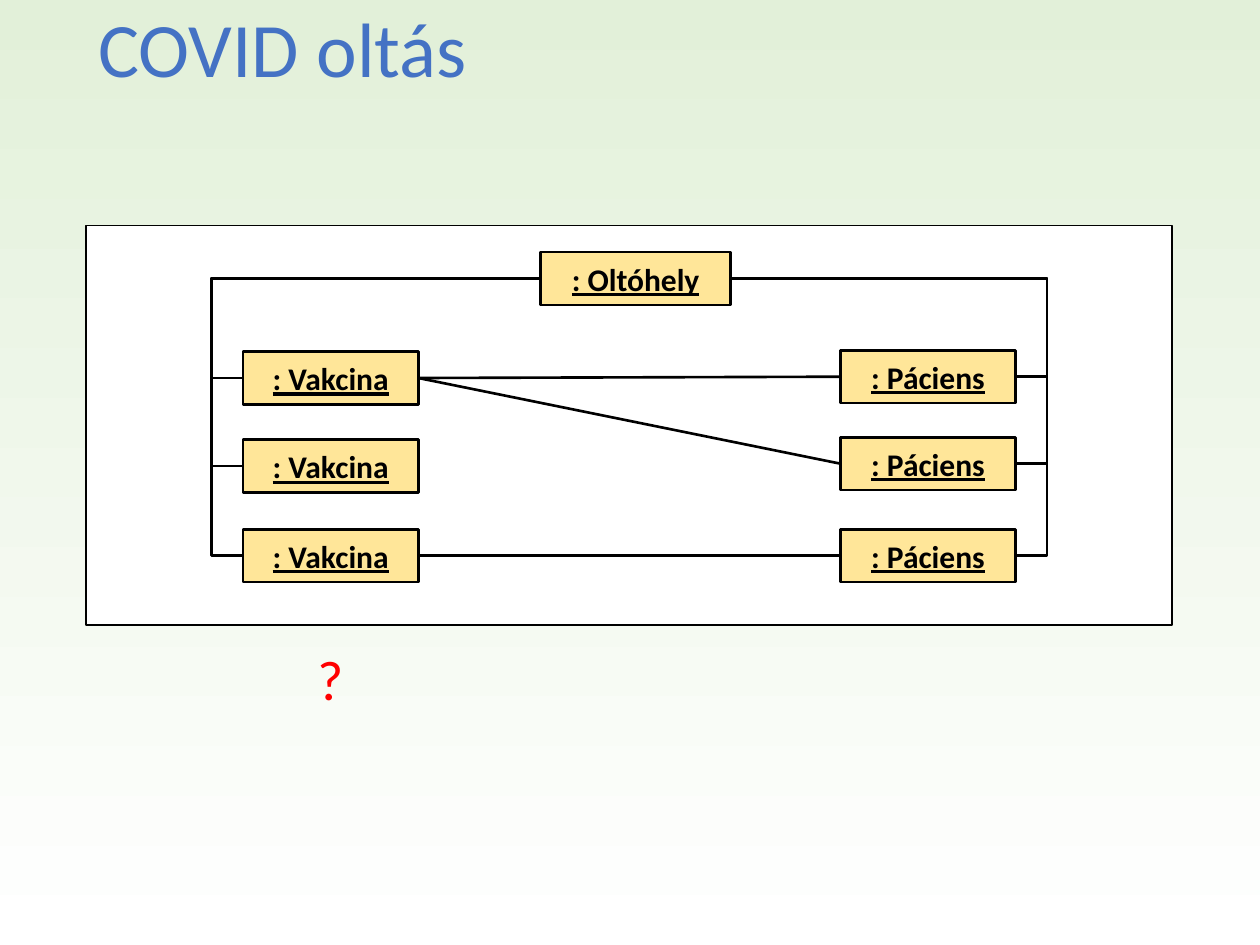
from lxml import etree
from pptx import Presentation
from pptx.dml.color import RGBColor
from pptx.enum.shapes import MSO_CONNECTOR, MSO_SHAPE
from pptx.enum.text import MSO_ANCHOR, MSO_AUTO_SIZE, PP_ALIGN
from pptx.oxml.ns import qn
from pptx.util import Inches, Pt

TOP, LEFT, BOTTOM, RIGHT = range(4)  # connection sites of a rectangle
BUS_GAP = 0.25  # distance of the outer vertical line from the boxes


def rgb(value):
    return RGBColor.from_string(value)


def style_run(r, size, color, bold=False, underline=False):
    r.font.name = "Calibri"
    r.font.size = Pt(size)
    r.font.color.rgb = rgb(color)
    r.font.bold = bold
    r.font.underline = underline


def add_background(s):
    fill = s.background.fill
    fill.gradient()
    fill.gradient_angle = 90
    for stop, color in zip(fill.gradient_stops, ("FFFFFF", "E2F0D9")):
        stop.color.rgb = rgb(color)


def add_title(s, text, x, y, w, h):
    title = s.shapes.title
    title.left, title.top = Inches(x), Inches(y)
    title.width, title.height = Inches(w), Inches(h)
    tf = title.text_frame
    tf.text = text
    tf.vertical_anchor = MSO_ANCHOR.TOP
    tf.auto_size = MSO_AUTO_SIZE.NONE
    p = tf.paragraphs[0]
    p.alignment = PP_ALIGN.LEFT
    p.line_spacing = 0.9
    style_run(p.runs[0], 44, "4472C4")


def add_box(s, x, y, w, h, fill, line_width):
    box = s.shapes.add_shape(MSO_SHAPE.RECTANGLE, Inches(x), Inches(y), Inches(w), Inches(h))
    box.shadow.inherit = False
    box.fill.solid()
    box.fill.fore_color.rgb = rgb(fill)
    box.line.color.rgb = rgb("000000")
    box.line.width = Pt(line_width)
    return box


def add_object(s, name, x, y, w, h=0.42):
    box = add_box(s, x, y, w, h, "FFE699", 1.5)
    tf = box.text_frame
    tf.text = f": {name}"
    tf.vertical_anchor = MSO_ANCHOR.MIDDLE
    p = tf.paragraphs[0]
    p.alignment = PP_ALIGN.CENTER
    style_run(p.runs[0], 18, "000000", bold=True, underline=True)
    return box


def add_link(s, kind, start, start_site, end, end_site):
    link = s.shapes.add_connector(kind, 0, 0, 0, 0)
    link.begin_connect(start, start_site)
    link.end_connect(end, end_site)
    link.line.color.rgb = rgb("000000")
    link.line.width = Pt(1.5)
    etree.SubElement(link._element.spPr, qn("a:effectLst"))
    return link


def add_bracket(s, start, start_site, end, end_site, bend):
    """Elbow link whose vertical part lies at `bend` times its width."""
    link = add_link(s, MSO_CONNECTOR.ELBOW, start, start_site, end, end_site)
    geom = link._element.spPr.find(qn("a:prstGeom"))
    av = geom.find(qn("a:avLst"))
    if av is None:
        av = etree.SubElement(geom, qn("a:avLst"))
    etree.SubElement(av, qn("a:gd"), name="adj1", fmla=f"val {round(bend * 100000)}")


def add_diagram(s, x, y, w, h):
    add_box(s, x, y, w, h, "FFFFFF", 1)

    # Objects
    site = add_object(s, "Oltóhely", x + 3.61, y + 0.21, 1.51)
    vaccines = [add_object(s, "Vakcina", x + 1.25, y + dy, 1.39) for dy in (1, 1.7, 2.41)]
    patients = [add_object(s, "Páciens", x + 5.99, y + dy, 1.39) for dy in (0.99, 1.68, 2.41)]

    # Vaccination site to its vaccines and patients
    gap = Inches(BUS_GAP)
    for vaccine in vaccines:
        bend = -gap / (site.left - vaccine.left)
        add_bracket(s, vaccine, LEFT, site, LEFT, bend)
    for patient in patients:
        span = patient.left + patient.width - site.left - site.width
        add_bracket(s, site, RIGHT, patient, RIGHT, 1 + gap / span)

    # Patients to the vaccine they received
    for patient, vaccine in zip(patients, (vaccines[0], vaccines[0], vaccines[2])):
        add_link(s, MSO_CONNECTOR.STRAIGHT, patient, LEFT, vaccine, RIGHT)


def add_question(s, x, y, w, h):
    box = s.shapes.add_textbox(Inches(x), Inches(y), Inches(w), Inches(h))
    tf = box.text_frame
    tf.text = "?"
    tf.word_wrap = False
    tf.auto_size = MSO_AUTO_SIZE.SHAPE_TO_FIT_TEXT
    style_run(tf.paragraphs[0].runs[0], 32, "FF0000")


def main():
    prs = Presentation()
    prs.slide_width, prs.slide_height = Inches(10), Inches(7.5)
    s = prs.slides.add_slide(prs.slide_layouts[5])
    add_background(s)
    add_title(s, "COVID oltás", 0.68, 0.04, 8.62, 1.45)
    add_diagram(s, 0.68, 1.79, 8.62, 3.17)
    add_question(s, 2.42, 5.07, 0.41, 0.64)
    prs.save("out.pptx")


if __name__ == "__main__":
    main()
